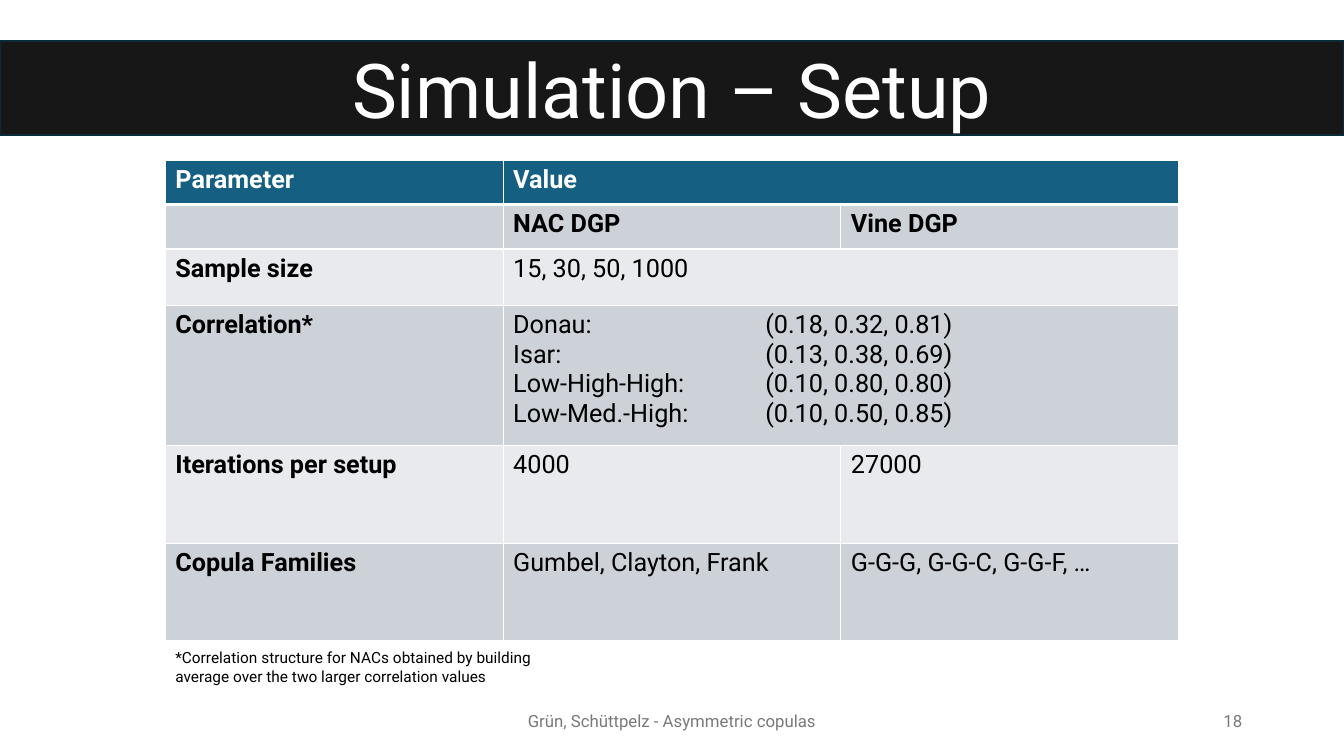
from lxml.etree import SubElement
from pptx import Presentation
from pptx.dml.color import RGBColor
from pptx.enum.text import MSO_ANCHOR as Anchor, MSO_AUTO_SIZE as AutoSize, PP_ALIGN as Align
from pptx.oxml.ns import qn
from pptx.util import Inches, Pt

WIDTH, HEIGHT = Inches(13.33), Inches(7.5)
WHITE = RGBColor(0xFF, 0xFF, 0xFF)
BLACK = RGBColor(0, 0, 0)
GREY = RGBColor(0x79, 0x79, 0x79)
BAND = RGBColor(0x17, 0x17, 0x17)
BAND_EDGE = RGBColor(0x09, 0x2A, 0x39)
HEADER = RGBColor(0x15, 0x60, 0x82)
STRIPES = (RGBColor(0xE8, 0xEA, 0xED), RGBColor(0xCC, 0xD2, 0xD8))

COLUMN = Inches(3.35)
TABLE_LEFT = (WIDTH - 3 * COLUMN) // 2
TABLE_TOP = Inches(1.59)
ROW_HEIGHTS = [Inches(h) for h in (0.44, 0.44, 0.56, 1.39, 0.97, 0.97)]
TABLE_BOTTOM = TABLE_TOP + sum(ROW_HEIGHTS)
VALUES_TAB = Inches(2.5)

CORRELATIONS = "\n".join((
    "Donau:\t(0.18, 0.32, 0.81)",
    "Isar:\t(0.13, 0.38, 0.69)",
    "Low-High-High:\t(0.10, 0.80, 0.80)",
    "Low-Med.-High:\t(0.10, 0.50, 0.85)",
))
SETUP = (
    ("Parameter", "Value"),
    ("", "NAC DGP", "Vine DGP"),
    ("Sample size", "15, 30, 50, 1000"),
    ("Correlation*", CORRELATIONS),
    ("Iterations per setup", "4000", "27000"),
    ("Copula Families", "Gumbel, Clayton, Frank", "G-G-G, G-G-C, G-G-F, …"),
)


def write(frame, text, size=18, color=BLACK, bold=False, align=Align.LEFT):
    frame.text = text
    for paragraph in frame.paragraphs:
        paragraph.alignment = align
        if "\t" in text:
            tabs = SubElement(paragraph._p.get_or_add_pPr(), qn("a:tabLst"))
            SubElement(tabs, qn("a:tab"), pos=str(VALUES_TAB), algn="l")
        for run in paragraph.runs:
            run.font.name = "Roboto"
            run.font.size = Pt(size)
            run.font.bold = bold
            run.font.color.rgb = color


def add_label(slide, text, left, top, width, height, **style):
    frame = slide.shapes.add_textbox(left, top, width, height).text_frame
    frame.word_wrap = True
    frame.vertical_anchor = Anchor.MIDDLE
    write(frame, text, **style)


def add_title_band(slide, text):
    band = slide.shapes.title
    band.left, band.top = 0, Inches(0.41)
    band.width, band.height = WIDTH, Inches(0.93)
    band.fill.solid()
    band.fill.fore_color.rgb = BAND
    band.line.color.rgb = BAND_EDGE
    band.line.width = Pt(1.5)
    band.text_frame.auto_size = AutoSize.NONE
    band.text_frame.vertical_anchor = Anchor.MIDDLE
    write(band.text_frame, text, size=54, color=WHITE, align=Align.CENTER)


def draw_borders(cell, bottom=1):
    properties = cell._tc.get_or_add_tcPr()
    for side, points in (("L", 1), ("R", 1), ("T", 1), ("B", bottom)):
        edge = SubElement(properties, qn(f"a:ln{side}"), w=str(Pt(points)))
        fill = SubElement(edge, qn("a:solidFill"))
        SubElement(fill, qn("a:srgbClr"), val=str(WHITE))


def add_setup_table(slide):
    table = slide.shapes.add_table(
        len(SETUP), 3, TABLE_LEFT, TABLE_TOP, 3 * COLUMN, sum(ROW_HEIGHTS)).table
    for column in table.columns:
        column.width = COLUMN
    for r, (texts, height) in enumerate(zip(SETUP, ROW_HEIGHTS)):
        table.rows[r].height = height
        is_header = r == 0
        for c in range(3):
            cell = table.cell(r, c)
            draw_borders(cell, bottom=3 if is_header else 1)
            cell.fill.solid()
            cell.fill.fore_color.rgb = HEADER if is_header else STRIPES[r % 2]
        if len(texts) == 2:
            table.cell(r, 1).merge(table.cell(r, 2))
        for c, text in enumerate(texts):
            write(table.cell(r, c).text_frame, text, bold=r < 2 or c == 0,
                  color=WHITE if is_header else BLACK)


def main():
    deck = Presentation()
    deck.slide_width, deck.slide_height = WIDTH, HEIGHT
    slide = deck.slides.add_slide(deck.slide_layouts.get_by_name("Title Only"))

    add_title_band(slide, "Simulation – Setup")
    add_setup_table(slide)
    add_label(slide, "*Correlation structure for NACs obtained by building "
              "average over the two larger correlation values",
              TABLE_LEFT, TABLE_BOTTOM, Inches(4.2), Inches(0.51), size=11)

    footer_top, footer_height, footer_width = Inches(6.95), Inches(0.4), Inches(4.5)
    add_label(slide, "Grün, Schüttpelz - Asymmetric copulas",
              (WIDTH - footer_width) // 2, footer_top, footer_width, footer_height,
              size=12, color=GREY, align=Align.CENTER)
    add_label(slide, "18", Inches(9.42), footer_top, Inches(3), footer_height,
              size=12, color=GREY, align=Align.RIGHT)
    deck.save("out.pptx")


if __name__ == "__main__":
    main()
